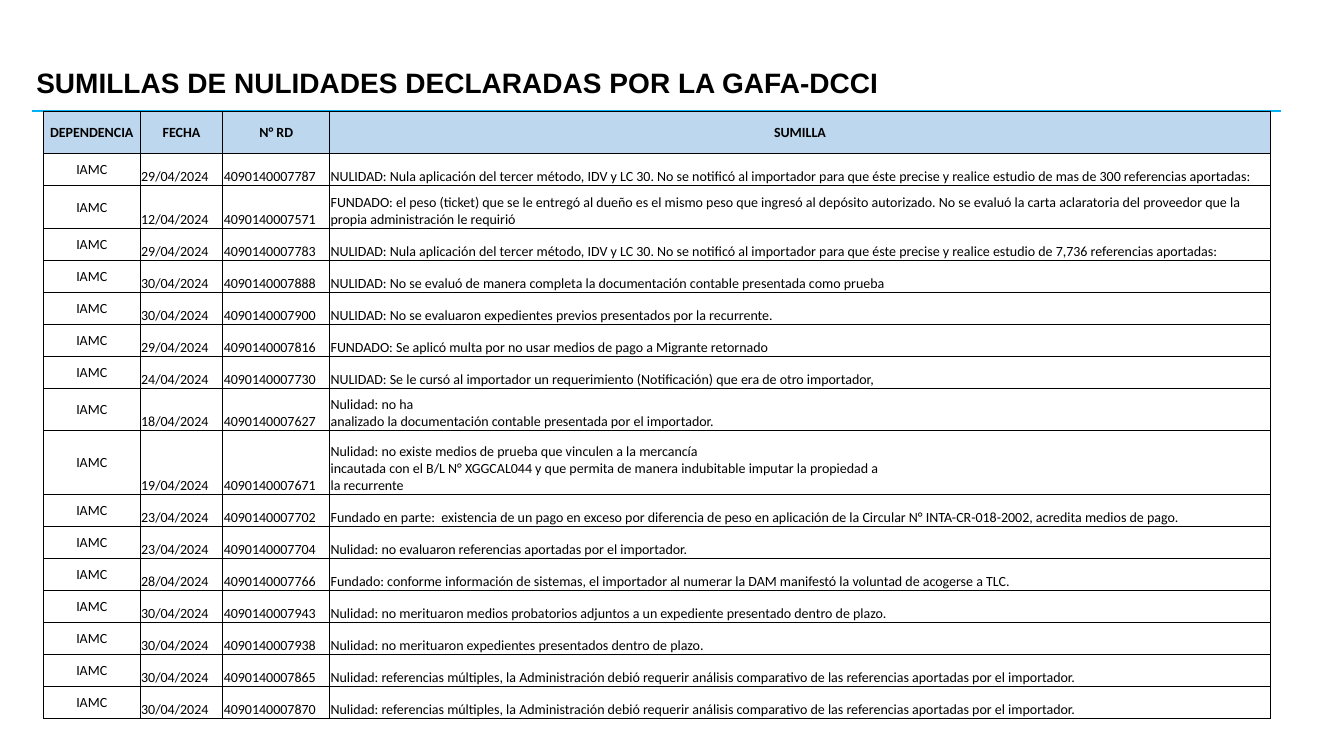
from dataclasses import dataclass

from lxml import etree
from pptx import Presentation
from pptx import util as u
from pptx.dml.color import RGBColor
from pptx.enum import text
from pptx.oxml import ns


@dataclass(frozen=True)
class Theme:
    ink: str = "000000"
    rule: str = "00B0F0"
    header: str = "BDD7EE"
    title_font: str = "Arial"
    table_font: str = "Calibri"
    title_size: int = 20
    table_size: int = 10
    rule_width: float = 1.5
    border_width: float = 0.5


THEME = Theme()
COLUMN_WIDTHS = [0.96, 0.82, 1.06, 9.33]
HEADINGS = ["DEPENDENCIA", "FECHA", "N° RD", "SUMILLA"]
OFFICE = "IAMC"

# Height of each row, in thirds of a one-line row
HEADER_UNITS = 4
# Row units, date in April 2024, resolution number, summary
RULINGS = [
    (3, "29/04/2024", "4090140007787", "NULIDAD: Nula aplicación del tercer método, IDV y LC 30. No se notificó al importador para que éste precise y realice estudio de mas de 300 referencias aportadas:"),
    (4, "12/04/2024", "4090140007571", "FUNDADO: el peso (ticket) que se le entregó al dueño es el mismo peso que ingresó al depósito autorizado. No se evaluó la carta aclaratoria del proveedor que la propia administración le requirió"),
    (3, "29/04/2024", "4090140007783", "NULIDAD: Nula aplicación del tercer método, IDV y LC 30. No se notificó al importador para que éste precise y realice estudio de 7,736 referencias aportadas:"),
    (3, "30/04/2024", "4090140007888", "NULIDAD: No se evaluó de manera completa la documentación contable presentada como prueba"),
    (3, "30/04/2024", "4090140007900", "NULIDAD: No se evaluaron expedientes previos presentados por la recurrente."),
    (3, "29/04/2024", "4090140007816", "FUNDADO: Se aplicó multa por no usar medios de pago a Migrante retornado"),
    (3, "24/04/2024", "4090140007730", "NULIDAD: Se le cursó al importador un requerimiento (Notificación) que era de otro importador,"),
    (4, "18/04/2024", "4090140007627", "Nulidad: no ha \nanalizado la documentación contable presentada por el importador."),
    (6, "19/04/2024", "4090140007671", "Nulidad: no existe medios de prueba que vinculen a la mercancía \nincautada con el B/L N° XGGCAL044 y que permita de manera indubitable imputar la propiedad a \nla recurrente"),
    (3, "23/04/2024", "4090140007702", "Fundado en parte:  existencia de un pago en exceso por diferencia de peso en aplicación de la Circular N° INTA-CR-018-2002, acredita medios de pago."),
    (3, "23/04/2024", "4090140007704", "Nulidad: no evaluaron referencias aportadas por el importador."),
    (3, "28/04/2024", "4090140007766", "Fundado: conforme información de sistemas, el importador al numerar la DAM manifestó la voluntad de acogerse a TLC."),
    (3, "30/04/2024", "4090140007943", "Nulidad: no merituaron medios probatorios adjuntos a un expediente presentado dentro de plazo."),
    (3, "30/04/2024", "4090140007938", "Nulidad: no merituaron expedientes presentados dentro de plazo."),
    (3, "30/04/2024", "4090140007865", "Nulidad: referencias múltiples, la Administración debió requerir análisis comparativo de las referencias aportadas por el importador."),
    (3, "30/04/2024", "4090140007870", "Nulidad: referencias múltiples, la Administración debió requerir análisis comparativo de las referencias aportadas por el importador."),
]


def apply_format(target, values):
    for name, value in values.items():
        setattr(target, name, value)


def write(para, words, font, size, bold, align):
    """Fill a paragraph, giving runs and line breaks the same size."""
    para.text = words
    para.alignment = align
    for span in para.runs:
        apply_format(span.font, {"name": font, "size": u.Pt(size), "bold": bold})
        span.font.color.rgb = RGBColor.from_string(THEME.ink)
    for line_break in para._p.findall(ns.qn("a:br")):
        etree.SubElement(line_break, ns.qn("a:rPr"), sz=str(size * 100))


def draw_borders(cell):
    props = cell._tc.get_or_add_tcPr()
    for side in ("lnL", "lnR", "lnT", "lnB"):
        line = etree.SubElement(props, ns.qn(f"a:{side}"),
                                w=str(u.Pt(THEME.border_width)))
        fill = etree.SubElement(line, ns.qn("a:solidFill"))
        etree.SubElement(fill, ns.qn("a:srgbClr"), val=THEME.ink)


def add_heading(page, box):
    """Title with a coloured rule below it."""
    left, top, width, height = map(u.Inches, box)
    title = page.shapes.title
    apply_format(title, {"left": left, "top": top, "width": width, "height": height})
    apply_format(title.text_frame, {
        "vertical_anchor": text.MSO_ANCHOR.MIDDLE,
        "auto_size": text.MSO_AUTO_SIZE.NONE,
        "word_wrap": True,
    })
    para = title.text_frame.paragraphs[0]
    write(para, "SUMILLAS DE NULIDADES DECLARADAS POR LA GAFA-DCCI",
          THEME.title_font, THEME.title_size, True, text.PP_ALIGN.LEFT)
    para.line_spacing = 0.9

    rule_left, rule_top = left + u.Inches(0.06), top + u.Inches(0.73)
    rule = page.shapes.add_connector(1, rule_left, rule_top,
                                     rule_left + u.Inches(12.39), rule_top)
    rule.line.color.rgb = RGBColor.from_string(THEME.rule)
    rule.line.width = u.Pt(THEME.rule_width)
    etree.SubElement(rule._element.spPr, ns.qn("a:effectLst"))


def fill_cell(cell, words, is_header, is_centred):
    apply_format(cell, {
        "margin_left": u.Inches(0.01), "margin_right": u.Inches(0.01),
        "margin_top": u.Inches(0.01), "margin_bottom": 0,
        "vertical_anchor": text.MSO_ANCHOR.MIDDLE if is_centred else text.MSO_ANCHOR.BOTTOM,
    })
    write(cell.text_frame.paragraphs[0], words, THEME.table_font, THEME.table_size,
          is_header, text.PP_ALIGN.CENTER if is_centred else text.PP_ALIGN.LEFT)
    draw_borders(cell)
    if is_header:
        cell.fill.solid()
        cell.fill.fore_color.rgb = RGBColor.from_string(THEME.header)
    else:
        cell.fill.background()


def add_rulings_table(page, box):
    """Header row, then one row for each ruling."""
    rows = [HEADINGS] + [[OFFICE, *ruling[1:]] for ruling in RULINGS]
    units = [HEADER_UNITS] + [ruling[0] for ruling in RULINGS]
    table = page.shapes.add_table(len(rows), len(HEADINGS), *map(u.Inches, box)).table
    apply_format(table, {"first_row": False, "horz_banding": False})

    for column, width in zip(table.columns, COLUMN_WIDTHS):
        column.width = u.Inches(width)
    for row, share in zip(table.rows, units):
        row.height = u.Inches(box[3] * share / sum(units))
    for r, row in enumerate(rows):
        for c, words in enumerate(row):
            fill_cell(table.cell(r, c), words, r == 0, r == 0 or c == 0)


def main():
    deck = Presentation()
    apply_format(deck, {"slide_width": u.Inches(13.33), "slide_height": u.Inches(7.5)})
    page = deck.slides.add_slide(deck.slide_layouts[5])
    add_heading(page, (0.26, 0.37, 11.5, 0.93))
    add_rulings_table(page, (0.43, 1.1, sum(COLUMN_WIDTHS), 6.03))
    deck.save("out.pptx")


if __name__ == "__main__":
    main()
